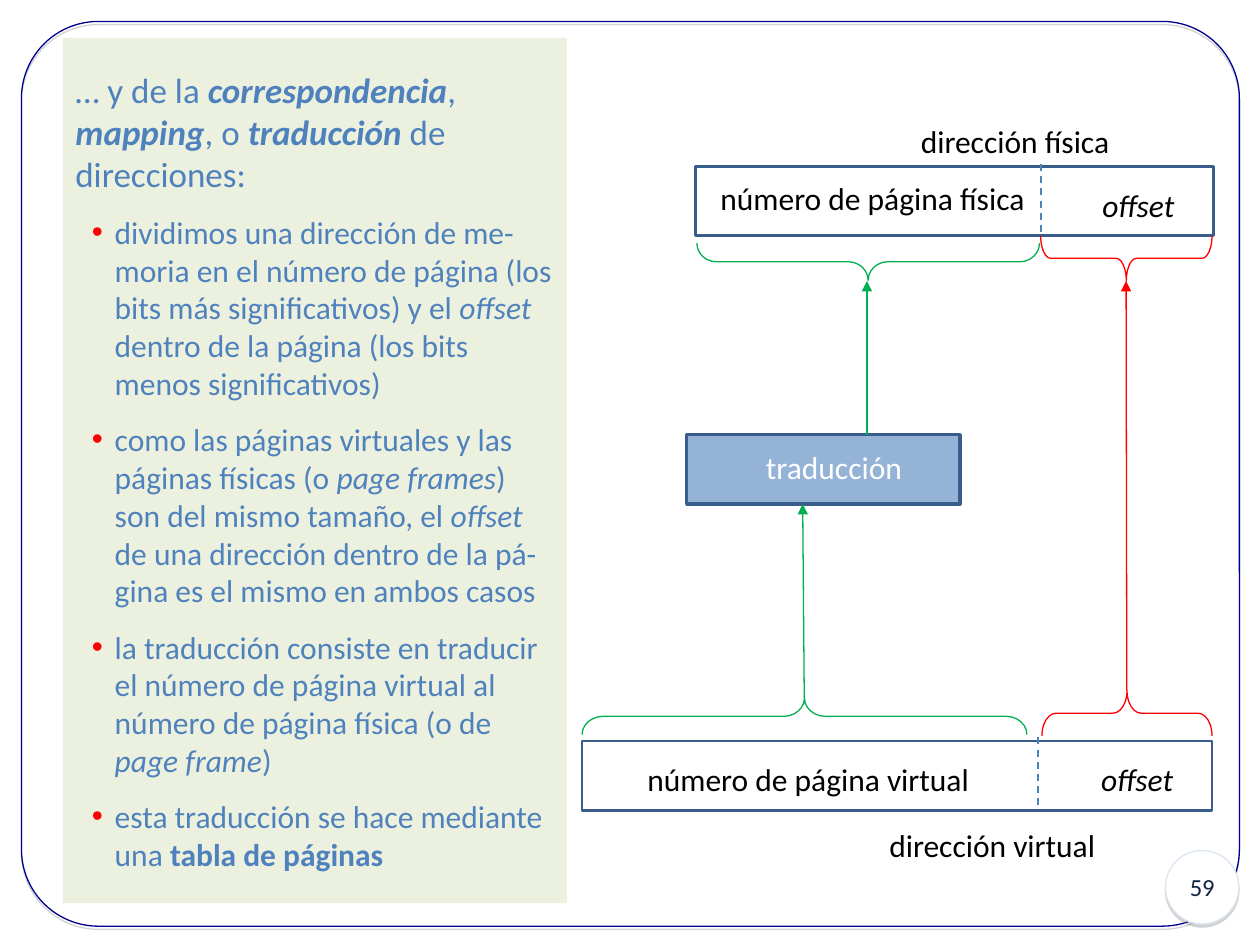
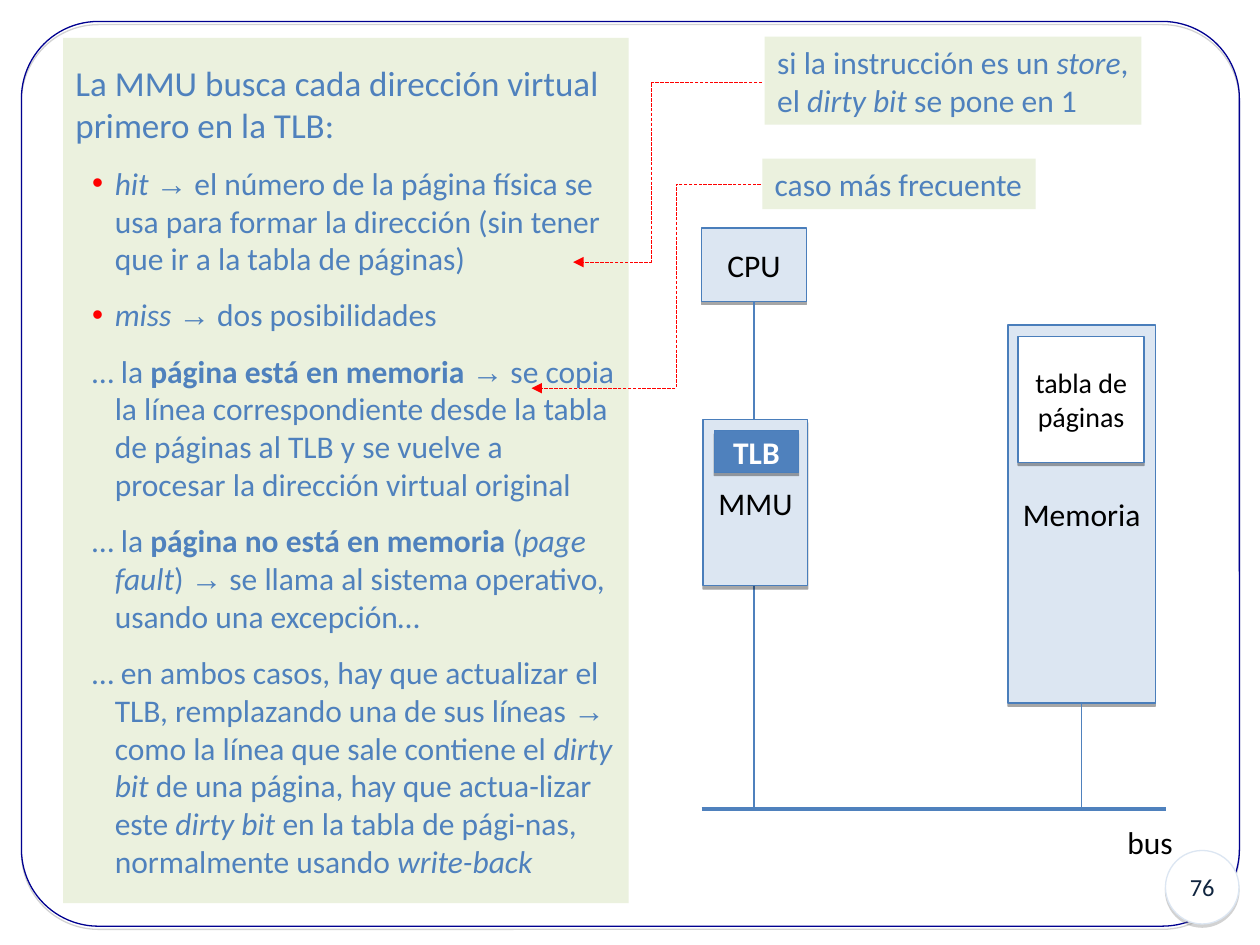
import itertools
from dataclasses import dataclass
from typing import Any, Optional

import pptx
import pptx.dml.color
import pptx.enum.dml
import pptx.enum.shapes
import pptx.enum.text
import pptx.oxml
import pptx.oxml.ns
import pptx.util
from lxml import etree

Pt = pptx.util.Pt
Kind = pptx.enum.shapes.MSO_SHAPE
Link = pptx.enum.shapes.MSO_CONNECTOR
Dash = pptx.enum.dml.MSO_LINE
Align = pptx.enum.text.PP_ALIGN
Anchor = pptx.enum.text.MSO_ANCHOR
qn = pptx.oxml.ns.qn

COLORS = {
    "white": "FFFFFF", "black": "000000", "navy": "000090", "gray": "808080",
    "pale": "DCE6F2", "ink": "10253F", "edge": "385D8A", "rim": "4A7EBB",
    "blue": "4F81BD", "sky": "95B3D7", "cream": "EBF1DE",
    "green": "00B050", "red": "FF0000",
}
FACE = "Calibri"
LABEL = 28.8
CELL = 39.6


@dataclass
class Box:
    x: float
    y: float
    w: float
    h: float
    text: str = ""
    fill: Optional[str] = None
    line: Optional[str] = None
    weight: float = 0.75
    size: float = 18
    color: str = "black"
    shade: Optional[str] = None
    kind: Any = Kind.RECTANGLE
    center: bool = True
    wrap: bool = True


@dataclass
class Brace:
    left: float
    top: float
    right: float
    low: float
    color: str
    curve: float
    turn: int


@dataclass
class Wire:
    x: float
    y: float
    to_x: float
    to_y: float
    color: str
    weight: float = 0.75
    dash: Any = None
    arrow: bool = False
    bend: Optional[float] = None


def rgb(name: str) -> pptx.dml.color.RGBColor:
    return pptx.dml.color.RGBColor.from_string(COLORS[name])


def apply(target: Any, values: dict) -> None:
    for name, value in values.items():
        setattr(target, name, value)


def child(parent: Any, tag: str, **values: Any) -> Any:
    node = etree.SubElement(parent, qn(tag))
    for name, value in values.items():
        node.set(name, str(value))
    return node


def paint(shape: Any, fill: Optional[str], line: Optional[str], weight: float) -> None:
    shape.shadow.inherit = False
    if fill:
        shape.fill.solid()
        shape.fill.fore_color.rgb = rgb(fill)
    else:
        shape.fill.background()
    if line:
        shape.line.color.rgb = rgb(line)
        shape.line.width = Pt(weight)
    else:
        shape.line.fill.background()


def shade(shape: Any, color: str) -> None:
    effects = shape._element.spPr.find(qn("a:effectLst"))
    cast = child(effects, "a:outerShdw", blurRad=0, dist=Pt(1.8), dir=5400000, rotWithShape=0)
    tone = child(cast, "a:srgbClr", val=COLORS[color])
    child(tone, "a:alpha", val=35000)


def write(para: Any, text: str, size: float, color: str) -> None:
    """Asterisks toggle bold and underscores toggle italic."""
    bold = italic = False
    marks = []
    for sign in text:
        if sign == "*":
            bold = not bold
        elif sign == "_":
            italic = not italic
        else:
            marks.append((sign, (bold, italic, "Arial" if sign == "→" else FACE)))
    for style, group in itertools.groupby(marks, key=lambda mark: mark[1]):
        run = para.add_run()
        run.text = "".join(sign for sign, _ in group)
        apply(run.font, {"bold": style[0], "italic": style[1], "name": style[2], "size": Pt(size)})
        run.font.color.rgb = rgb(color)


def box(slide: Any, item: Box) -> Any:
    place = [Pt(v) for v in (item.x, item.y, item.w, item.h)]
    if item.fill or item.line:
        shape = slide.shapes.add_shape(item.kind, *place)
        paint(shape, item.fill, item.line, item.weight)
    else:
        shape = slide.shapes.add_textbox(*place)
    if item.shade:
        shade(shape, item.shade)
    if item.text:
        frame = shape.text_frame
        apply(frame, {
            "word_wrap": item.wrap,
            "vertical_anchor": Anchor.MIDDLE if item.center else Anchor.TOP,
        })
        for index, line in enumerate(item.text.split("\n")):
            para = frame.add_paragraph() if index else frame.paragraphs[0]
            para.alignment = Align.CENTER if item.center else Align.LEFT
            write(para, line, item.size, item.color)
    return shape


def label(slide: Any, x: float, y: float, w: float, text: str, color: str = "black") -> None:
    box(slide, Box(x, y, w, LABEL, text, color=color, center=False, wrap=False))


def note(slide: Any, x: float, y: float, w: float, h: float, text: str) -> None:
    box(slide, Box(x, y, w, h, text, "cream", color="blue", center=False, wrap=False))


def brace(slide: Any, item: Brace) -> None:
    long, deep = item.right - item.left, item.low - item.top
    x = (item.left + item.right - deep) / 2
    y = (item.top + item.low - long) / 2
    shape = slide.shapes.add_shape(Kind.LEFT_BRACE, Pt(x), Pt(y), Pt(deep), Pt(long))
    shape.rotation = item.turn
    shape.adjustments[0] = item.curve
    paint(shape, None, item.color, 0.75)


def wire(slide: Any, item: Wire, start: Any = None) -> None:
    kind = Link.STRAIGHT if item.bend is None else Link.ELBOW
    ends = [Pt(v) for v in (item.x, item.y, item.to_x, item.to_y)]
    shape = slide.shapes.add_connector(kind, *ends)
    if start is not None:
        shape.begin_connect(start, 2)
    shape.line.color.rgb = rgb(item.color)
    apply(shape.line, {"width": Pt(item.weight), "dash_style": item.dash})
    props = shape._element.spPr
    if item.arrow:
        child(shape.line._get_or_add_ln(), "a:tailEnd", type="triangle")
    if item.bend is not None:
        guides = props.find(qn("a:prstGeom")).find(qn("a:avLst"))
        child(guides, "a:gd", name="adj1", fmla=f"val {round(item.bend * 100000)}")
    child(props, "a:effectLst")


def panel(slide: Any, width: float, head: str, points: list[str]) -> None:
    shape = box(slide, Box(36, 21.6, width, 494.6, fill="cream"))
    frame = shape.text_frame
    apply(frame, {"word_wrap": True, "vertical_anchor": Anchor.MIDDLE})
    first = frame.paragraphs[0]
    first.alignment = Align.LEFT
    write(first, head, 20, "blue")
    for text in points:
        para = frame.add_paragraph()
        apply(para, {"alignment": Align.LEFT, "level": 1, "space_before": Pt(10.5)})
        props = para._p.get_or_add_pPr()
        props.set("marL", str(Pt(22.5)))
        props.set("indent", str(Pt(-13)))
        if not text.startswith("…"):
            child(child(props, "a:buClr"), "a:srgbClr", val=COLORS["red"])
            child(props, "a:buFont", typeface="Arial")
            child(props, "a:buChar", char="•")
        write(para, text, 18, "blue")


def start(deck: Any, number: int) -> Any:
    slide = deck.slides.add_slide(deck.slide_layouts[6])
    frame = box(slide, Box(12.24, 12.24, 696, 517, line="navy", shade="gray",
                           kind=Kind.ROUNDED_RECTANGLE))
    frame.adjustments[0] = 0.085
    box(slide, Box(666, 486, 42, 42, str(number), "white", "pale", size=14,
                   color="ink", shade="gray", kind=Kind.OVAL))
    return slide


def mapping(deck: Any) -> None:
    slide = start(deck, 59)
    for x, y, w in ((397.5, 95, 296), (332.6, 423.4, 360)):
        box(slide, Box(x, y, w, CELL, fill="white", line="edge", weight=1.5))
    panel(slide, 288, "… y de la *_correspondencia_*, *_mapping_*, o *_traducción_* de direcciones:", [
        "dividimos una dirección de me-moria en el número de página (los bits más "
        "significativos) y el _offset_ dentro de la página (los bits menos significativos)",
        "como las páginas virtuales y las páginas físicas (o _page frames_) son del mismo "
        "tamaño, el _offset_ de una dirección dentro de la pá-gina es el mismo en ambos casos",
        "la traducción consiste en traducir el número de página virtual al número de "
        "página física (o de _page frame_)",
        "esta traducción se hace mediante una *tabla de páginas*",
    ])
    for item in (
        Brace(332.6, 398.9, 586.8, 419.8, "green", 0.57, 90),
        Brace(594.7, 134.6, 692.6, 160.6, "red", 0.22, 270),
        Brace(398.2, 139, 594, 160.2, "green", 0.53, 270),
        Brace(595.4, 394.6, 692.6, 420.5, "red", 0.31, 90),
    ):
        brace(slide, item)
    box(slide, Box(392.4, 248.4, 156.2, CELL, fill="sky", line="edge", weight=2))
    label(slide, 430.6, 252.7, 92.2, "traducción", "white")
    for x, y, w, text in (
        (501.1, 468.7, 132.5, "dirección virtual"),
        (519.1, 66.2, 122.4, "dirección física"),
        (362.9, 430.6, 198.7, "número de página virtual"),
        (404.6, 98.6, 188.6, "número de página física"),
        (622.1, 430.6, 55.4, "_offset_"),
        (622.8, 103, 55.4, "_offset_"),
    ):
        label(slide, x, y, w, text)
    for item in (
        Wire(643.9, 394.6, 643.5, 160.6, "red", arrow=True),
        Wire(459.6, 398.9, 458.7, 288, "green", arrow=True),
        Wire(495.4, 248.4, 495.4, 160.6, "green", arrow=True),
        Wire(593.3, 460.1, 593.3, 420.5, "blue", 1, Dash.DASH),
        Wire(594.7, 132.5, 594.7, 92.9, "blue", 1, Dash.DASH),
    ):
        wire(slide, item)


def lookup(deck: Any) -> None:
    slide = start(deck, 76)
    panel(slide, 323.3, "La MMU busca cada dirección virtual primero en la TLB:", [
        "_hit _→ el número de la página física se usa para formar la dirección "
        "(sin tener que ir a la tabla de páginas)",
        "_miss _→ dos posibilidades",
        "… la *página está en memoria *→ se copia la línea correspondiente desde la "
        "tabla de páginas al TLB y se vuelve a procesar la dirección virtual original",
        "… la *página no está en memoria* (_page fault_) → se llama al sistema operativo, "
        "usando una excepción…",
        "… en ambos casos, hay que actualizar el TLB, remplazando una de sus líneas → como "
        "la línea que sale contiene el _dirty bit _de una página, hay que actua-lizar este "
        "_dirty bit _en la tabla de pági-nas, normalmente usando _write-back_",
    ])
    look = {"line": "rim", "shade": "black"}
    cpu = box(slide, Box(401, 130.3, 59.8, 41.8, "CPU", "pale", **look))
    wire(slide, Wire(430.9, 172.1, 430.9, 462.2, "blue"), cpu)
    store = box(slide, Box(576, 185.8, 84.2, 216, "Memoria", "pale", **look))
    wire(slide, Wire(618.1, 401.8, 618.1, 462.2, "blue"), store)
    wire(slide, Wire(401, 462.2, 666, 462.2, "blue", 2))
    for item in (
        Box(581.8, 192.2, 72, 72, "tabla de páginas", "white", size=16, **look),
        Box(401.8, 239.8, 59.8, 95, "MMU", "pale", **look),
        Box(408.2, 246.2, 48.2, 23.8, "*TLB*", "blue", color="white", **look),
    ):
        box(slide, item)
    label(slide, 637.2, 466.6, 40.3, "bus")
    note(slide, 437, 20.9, 215.3, 50.4, "si la instrucción es un _store_,\nel _dirty bit_ se pone en 1")
    note(slide, 435.6, 90.7, 156.2, LABEL, "caso más frecuente")
    for x, y, to_x, to_y, bend in (
        (435.6, 46.8, 327.6, 149.8, 0.59),
        (434.9, 105.1, 303.8, 221.8, 0.37),
    ):
        wire(slide, Wire(x, y, to_x, to_y, "red", 0.25, Dash.LONG_DASH, True, bend))


def main() -> None:
    deck = pptx.Presentation()
    apply(deck, {"slide_width": Pt(720), "slide_height": Pt(540)})
    mapping(deck)
    lookup(deck)
    deck.save("out.pptx")


if __name__ == "__main__":
    main()
